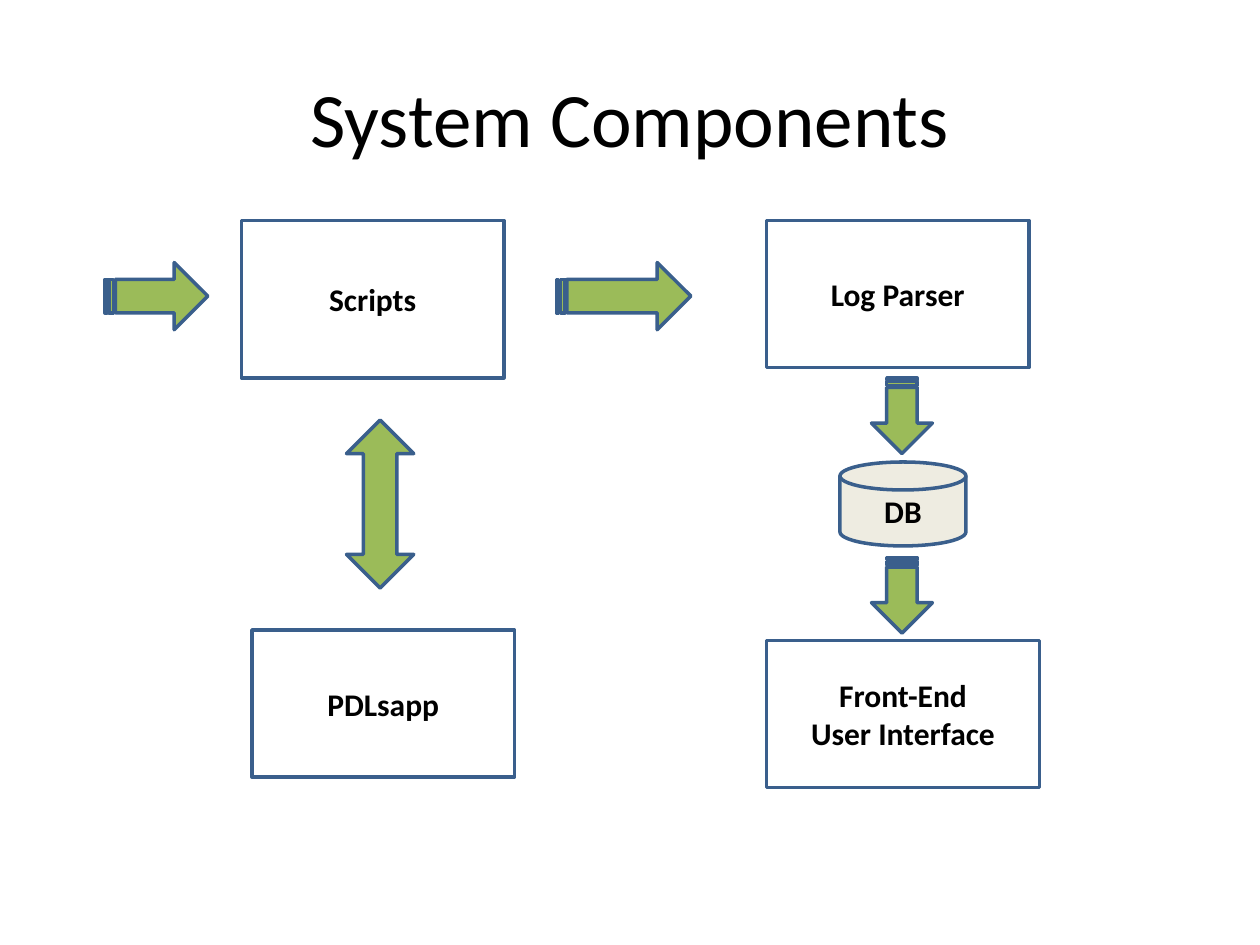
from pptx import Presentation
from pptx.dml.color import RGBColor
from pptx.enum.shapes import MSO_SHAPE
from pptx.enum.text import MSO_ANCHOR, PP_ALIGN
from pptx.util import Inches, Pt

RECT = MSO_SHAPE.RECTANGLE
DISK = MSO_SHAPE.FLOWCHART_MAGNETIC_DISK
STRIPED_ARROW = MSO_SHAPE.STRIPED_RIGHT_ARROW
TWO_WAY_ARROW = MSO_SHAPE.UP_DOWN_ARROW
CENTER = PP_ALIGN.CENTER
MIDDLE = MSO_ANCHOR.MIDDLE

FONT = "Calibri"
COLORS = {"text": "000000", "box": "FFFFFF", "line": "3A5F8C",
          "arrow": "9BBB59", "db": "EEECE1"}


def color(name):
    return RGBColor.from_string(COLORS[name])


def grid(cells):
    """Length of a number of grid cells, twelve to the inch."""
    return Inches(cells / 12)


def write(tf, lines, size, bold=False):
    tf.vertical_anchor = MIDDLE
    tf.text = "\n".join(lines)
    for p in tf.paragraphs:
        p.alignment = CENTER
        p.font.name = FONT
        p.font.size = Pt(size)
        p.font.bold = bold
        p.font.color.rgb = color("text")


def add_title(s, text):
    title = s.shapes.title
    title.left, title.top = Inches(0.5), Inches(0.3)
    title.width, title.height = Inches(9), Inches(1.25)
    write(title.text_frame, [text], 44)


def add_outlined(s, kind, fill, col, row, cols, rows):
    sp = s.shapes.add_shape(kind, grid(col), grid(row), grid(cols), grid(rows))
    sp.shadow.inherit = False
    sp.fill.solid()
    sp.fill.fore_color.rgb = color(fill)
    sp.line.color.rgb = color("line")
    sp.line.width = Pt(2)
    return sp


def add_component(s, lines, col, row, cols, rows, kind=RECT, fill="box"):
    sp = add_outlined(s, kind, fill, col, row, cols, rows)
    write(sp.text_frame, lines, 18, bold=True)


def add_right_arrow(s, col, cols):
    add_outlined(s, STRIPED_ARROW, "arrow", col, 25, cols, 6.4)


def add_down_arrow(s, row):
    sp = add_outlined(s, STRIPED_ARROW, "arrow", 82.3, row, 7.2, 5.8)
    sp.rotation = 90


def main():
    prs = Presentation()
    prs.slide_width, prs.slide_height = Inches(10), Inches(7.5)
    s = prs.slides.add_slide(prs.slide_layouts[5])
    add_title(s, "System Components")

    add_component(s, ["PDLsapp"], 24, 60, 25, 14)
    add_component(s, ["Scripts"], 23, 21, 25, 15)
    add_component(s, ["Log Parser"], 73, 21, 25, 14)
    add_component(s, ["Front-End", "User Interface"], 73, 61, 26, 14)
    add_outlined(s, TWO_WAY_ARROW, "arrow", 33, 40, 6.4, 16)
    add_right_arrow(s, 53, 12.8)
    add_component(s, ["DB"], 80, 44, 12, 8, DISK, "db")
    for row in (36.7, 53.8):
        add_down_arrow(s, row)
    add_right_arrow(s, 10, 9.8)

    prs.save("out.pptx")


if __name__ == "__main__":
    main()
